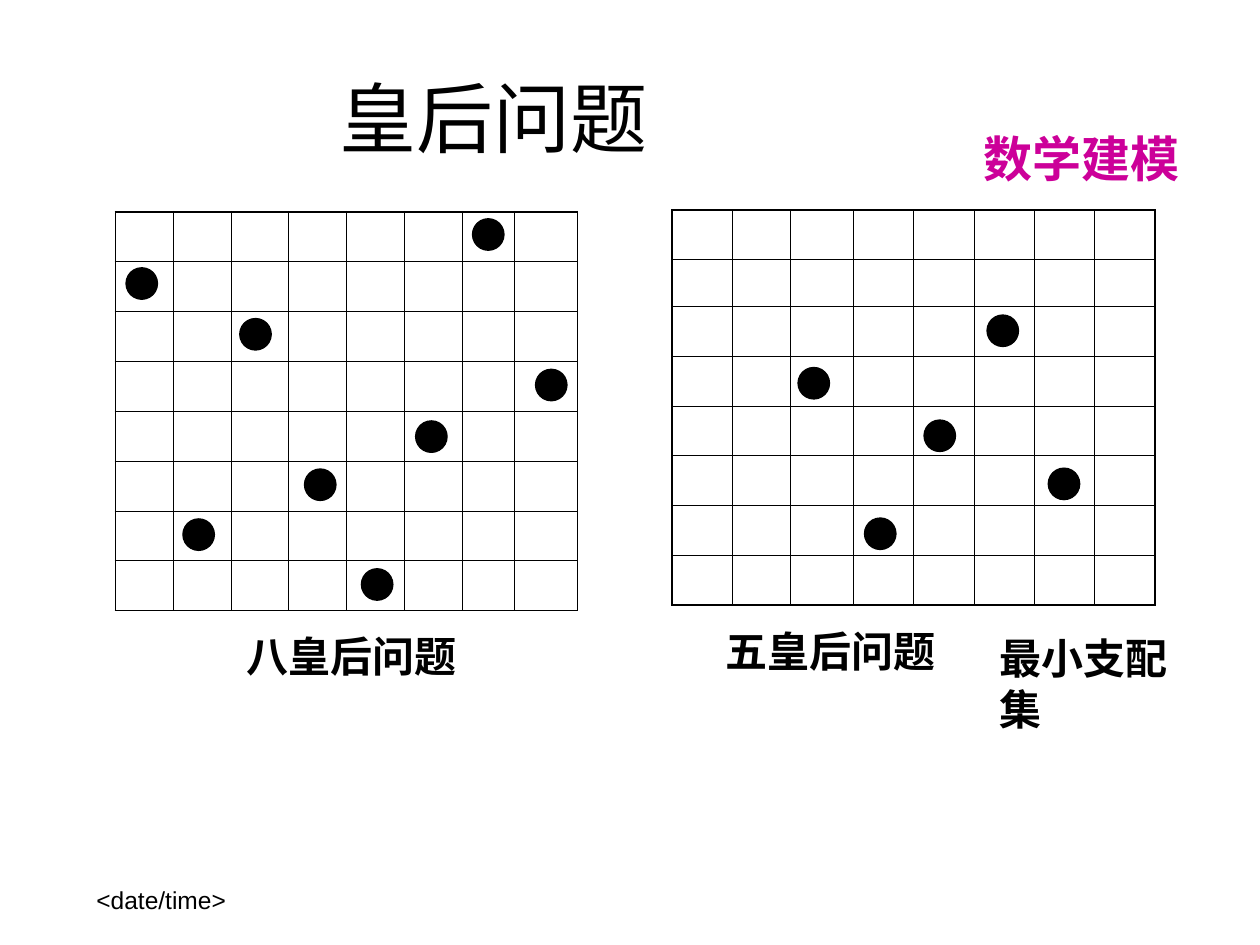
from lxml import etree
from pptx import Presentation
from pptx.dml.color import RGBColor
from pptx.enum.shapes import MSO_SHAPE
from pptx.enum.text import MSO_ANCHOR, PP_ALIGN
from pptx.oxml.ns import qn
from pptx.util import Pt

OVAL = MSO_SHAPE.OVAL
LEFT, CENTER = PP_ALIGN.LEFT, PP_ALIGN.CENTER
TOP, MIDDLE = MSO_ANCHOR.TOP, MSO_ANCHOR.MIDDLE
COLORS = {"ink": "000000", "accent": "CC0099"}
CJK_FONT = "Noto Sans CJK SC"
BOARD_SIZE = 8
QUEEN_SIZE = 18
THIN, THICK = 0.45, 1.08


def add_label(text, box, size, font_name, color="ink", bold=False,
              align=CENTER, anchor=TOP, inset=7.2, wrap=True):
    shape = slide.shapes.add_textbox(*map(Pt, box))
    frame = shape.text_frame
    frame.word_wrap = wrap
    frame.vertical_anchor = anchor
    frame.margin_left = frame.margin_right = Pt(inset)
    frame.margin_top = frame.margin_bottom = Pt(3.6)
    paragraph = frame.paragraphs[0]
    paragraph.alignment = align
    run = paragraph.add_run()
    run.text = text
    run.font.name = font_name
    run.font.size = Pt(size)
    run.font.bold = bold
    run.font.color.rgb = RGBColor.from_string(COLORS[color])
    east_asian = etree.SubElement(run._r.get_or_add_rPr(), qn("a:ea"))
    east_asian.set("typeface", CJK_FONT)


def set_borders(cell, widths):
    properties = cell._tc.get_or_add_tcPr()
    for index, (side, width) in enumerate(widths.items()):
        line = etree.Element(qn(f"a:ln{side}"), w=str(Pt(width)))
        fill = etree.SubElement(line, qn("a:solidFill"))
        etree.SubElement(fill, qn("a:srgbClr"), val=COLORS["ink"])
        properties.insert(index, line)


presentation = Presentation()
presentation.slide_width = Pt(720)
presentation.slide_height = Pt(540)
slide = presentation.slides.add_slide(presentation.slide_layouts[6])

# Date, course name and title
add_label("<date/time>", (48, 502, 168, 37.5), 14, "Arial", align=LEFT)
add_label("数学建模", (534, 70, 168, 37.5), 28, "Arial", "accent", bold=True)
add_label("皇后问题", (30, 21.6, 504, 90), 44, "Arial", anchor=MIDDLE)

# Boards: left, top, column widths, row heights, queen corners
boards = [
    (384, 120, [34.5, 33, 36] + [34.5] * 5, [28, 27] + [28.5] * 6,
     [(494, 296), (599, 267.5), (528, 240), (456, 210), (564, 180)]),
    (66, 121, [33] * 6 + [30, 36], [28.5] * 8,
     [(72, 153), (137, 182), (104.5, 296.5), (174, 268),
      (206.5, 325), (237.5, 240.5), (306, 211), (270, 125)]),
]
last = BOARD_SIZE - 1
for left, top, widths, heights, queens in boards:
    table = slide.shapes.add_table(
        BOARD_SIZE, BOARD_SIZE, Pt(left), Pt(top),
        Pt(sum(widths)), Pt(sum(heights))).table
    table.first_row = table.horz_banding = False
    for column, width in zip(table.columns, widths):
        column.width = Pt(width)
    for row_index, height in enumerate(heights):
        table.rows[row_index].height = Pt(height)
        for column_index in range(BOARD_SIZE):
            cell = table.cell(row_index, column_index)
            cell.margin_top = cell.margin_bottom = Pt(0)
            cell.fill.background()
            set_borders(cell, {
                "L": THICK if column_index == 0 else THIN,
                "R": THICK if column_index == last else THIN,
                "T": THICK if row_index == 0 else THIN,
                "B": THICK if row_index == last else THIN,
            })

    for queen_left, queen_top in queens:
        queen = slide.shapes.add_shape(
            OVAL, Pt(queen_left), Pt(queen_top), Pt(QUEEN_SIZE), Pt(QUEEN_SIZE))
        queen.shadow.inherit = False
        queen.fill.solid()
        queen.fill.fore_color.rgb = RGBColor.from_string(COLORS["ink"])
        queen.line.color.rgb = RGBColor.from_string(COLORS["ink"])
        queen.line.width = Pt(0.75)

# Captions
add_label("五皇后问题", (390, 354, 169, 36), 24, "Times New Roman", bold=True)
add_label("八皇后问题", (108, 357, 186, 36), 24, "Times New Roman", bold=True,
          inset=0)
add_label("最小支配集", (564, 358, 134, 36), 24, CJK_FONT, bold=True,
          align=LEFT, wrap=False)

presentation.save("out.pptx")
